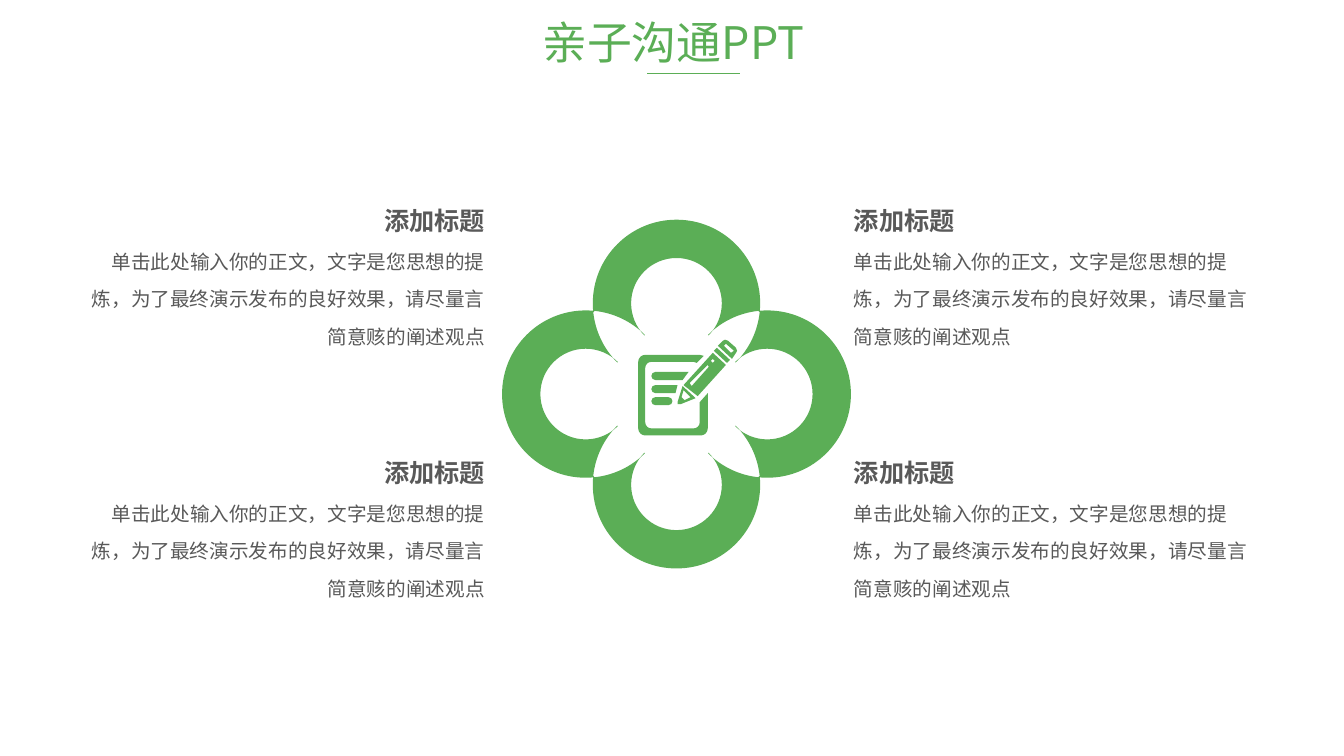
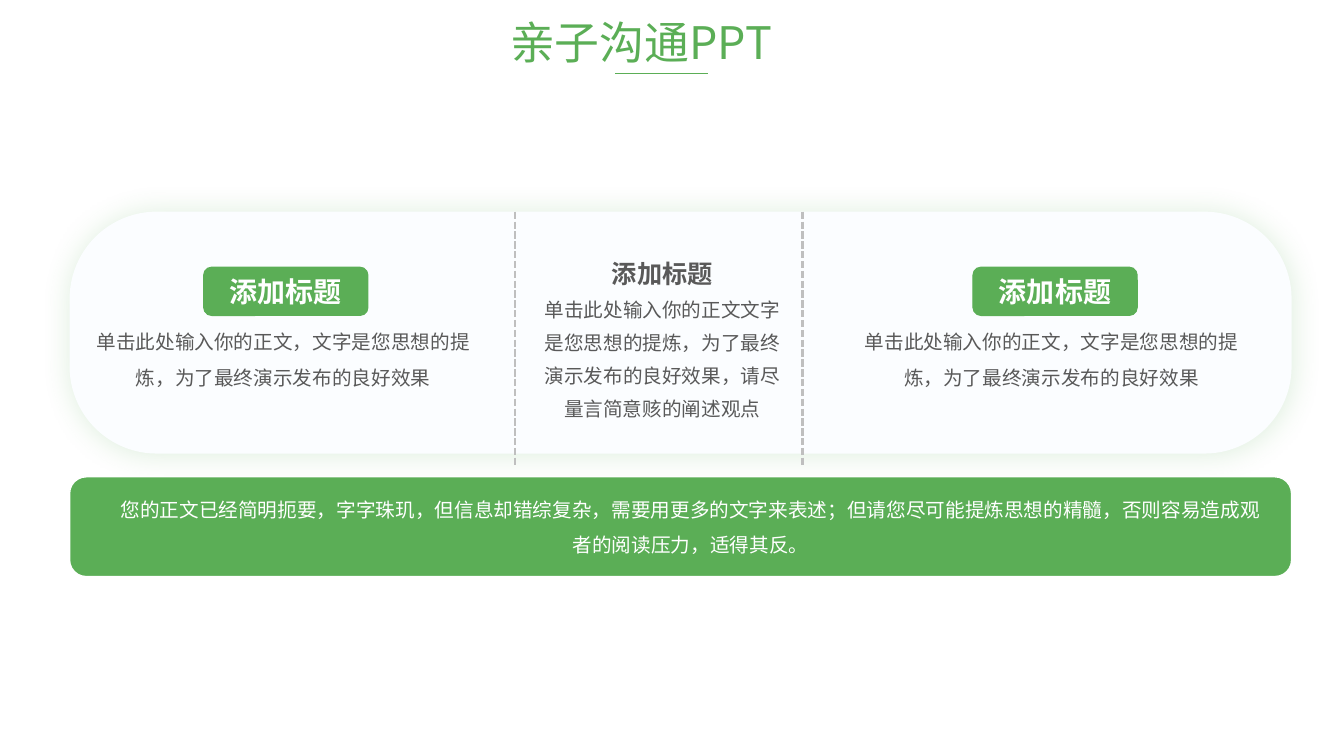
"""Build two parent-child communication slides: a four-petal diagram and a three-column panel."""
import math

import pptx
import pptx.dml.color
import pptx.enum.dml
import pptx.enum.shapes
import pptx.enum.text
import pptx.oxml.ns
import pptx.util
from lxml import etree

Inches = pptx.util.Inches
Pt = pptx.util.Pt
RGB = pptx.dml.color.RGBColor.from_string
ALIGN = pptx.enum.text.PP_ALIGN
ANCHOR = pptx.enum.text.MSO_ANCHOR
SHAPE = pptx.enum.shapes.MSO_SHAPE
STRAIGHT = pptx.enum.shapes.MSO_CONNECTOR.STRAIGHT
qn = pptx.oxml.ns.qn

FONT = "Noto Sans CJK SC"
COLORS = {"green": "5BAE56", "text": "595959", "white": "FFFFFF", "panel": "FBFDFF", "divider": "BFBFBF"}
HEADING = "添加标题"
LONG_BODY = "单击此处输入你的正文，文字是您思想的提炼，为了最终演示发布的良好效果，请尽量言简意赅的阐述观点"
MIDDLE_BODY = "单击此处输入你的正文文字是您思想的提炼，为了最终演示发布的良好效果，请尽量言简意赅的阐述观点"
SHORT_BODY = "单击此处输入你的正文，文字是您思想的提炼，为了最终演示发布的良好效果"
SUMMARY = "您的正文已经简明扼要，字字珠玑，但信息却错综复杂，需要用更多的文字来表述；但请您尽可能提炼思想的精髓，否则容易造成观者的阅读压力，适得其反。"


def arc(center_x, center_y, radius, start, end):
    """Return a first point and Bezier triples along a circle, with clockwise angles in degrees."""
    low, high = sorted((start, end))
    stops = [low] + [angle for angle in range(-360, 451, 90) if low < angle < high] + [high]
    if start > end:
        stops.reverse()
    stops = [math.radians(angle) for angle in stops]
    points = [(center_x + radius * math.cos(a), center_y + radius * math.sin(a)) for a in stops]
    segments = [(points[0],)]
    for index, (a, b) in enumerate(zip(stops, stops[1:])):
        reach = radius * math.tan((b - a) / 4) * 4 / 3
        (from_x, from_y), (to_x, to_y) = points[index:index + 2]
        segments.append((
            (from_x - reach * math.sin(a), from_y + reach * math.cos(a)),
            (to_x + reach * math.sin(b), to_y - reach * math.cos(b)),
            (to_x, to_y),
        ))
    return segments


def write(shape, lines, align, color, spacing=1.0, anchor=ANCHOR.TOP, inset=None):
    """Fill a shape with lines of (text, size, bold)."""
    frame = shape.text_frame
    frame.text = "\n".join(text for text, size, bold in lines)
    frame.word_wrap = True
    frame.vertical_anchor = anchor
    if inset is not None:
        frame.margin_left = frame.margin_right = Inches(inset)
        frame.margin_top = frame.margin_bottom = Inches(inset)
    for paragraph, (text, size, bold) in zip(frame.paragraphs, lines):
        paragraph.alignment = align
        paragraph.line_spacing = spacing
        paragraph._p.get_or_add_pPr().set("hangingPunct", "0")
        for run in paragraph.runs:
            run.font.size = Pt(size)
            run.font.bold = bold
            run.font.name = FONT
            run.font.color.rgb = RGB(COLORS[color])
            east_asian = etree.Element(qn("a:ea"), typeface=FONT)
            run.font._element.find(qn("a:latin")).addnext(east_asian)


presentation = pptx.Presentation()
presentation.slide_width = Inches(13.33)
presentation.slide_height = Inches(7.5)

slides = []
rules = []
for title_left in (5.28, 4.96):
    slide = presentation.slides.add_slide(presentation.slide_layouts[6])
    slides.append(slide)
    rules.append((slide, title_left + 1.14, 0.73, title_left + 2.06, 0.73, "green", 0.5, False))
    title = slide.shapes.add_textbox(Inches(title_left), Inches(0.1), Inches(3.41), Inches(0.64))
    write(title, [("亲子沟通PPT", 32, False)], ALIGN.JUSTIFY, "green")
petal_slide, panel_slide = slides

petal = (
    arc(0, -0.9, 0.83, 174, 366)
    + arc(0.9, 0, 0.83, 264, 225)
    + arc(0, -0.9, 0.45, 45, -225)
    + arc(-0.9, 0, 0.83, 315, 276)
)
drawings = []
for turn in range(4):
    drawings.append([[tuple((6.71 + x, 3.91 + y) for x, y in segment) for segment in petal]])
    petal = [tuple((-y, x) for x, y in segment) for segment in petal]

page = (
    arc(6.4, 3.59, 0.07, 180, 270)
    + [((6.94, 3.52),), ((6.98, 3.53),), ((6.91, 3.6),), ((6.88, 3.59),)]
    + arc(6.46, 3.65, 0.06, 270, 180)
    + arc(6.46, 4.19, 0.06, 180, 90)
    + arc(6.88, 4.19, 0.06, 90, 0)
    + [((6.94, 3.99),), ((7.02, 3.9),)]
    + arc(6.95, 4.25, 0.07, 0, 90)
    + arc(6.4, 4.25, 0.07, 90, 180)
)
pencil = [
    [(6.77, 3.83), (6.9, 3.95), (6.75, 4.01), (6.72, 4.01), (6.72, 3.99)],
    [(6.78, 3.87), (6.76, 3.94), (6.79, 3.97), (6.85, 3.94)],
    [(7.07, 3.5), (7.2, 3.62), (6.92, 3.93), (6.78, 3.82)],
    [(7.02, 3.62), (6.84, 3.8), (6.86, 3.83), (7.03, 3.64)],
    [(7.07, 3.56), (7.05, 3.58), (7.07, 3.6), (7.09, 3.58)],
    [(7.11, 3.45), (7.24, 3.57), (7.21, 3.6), (7.08, 3.48)],
    [(7.12, 3.43), (7.17, 3.38), (7.19, 3.37), (7.22, 3.38), (7.3, 3.45), (7.31, 3.48), (7.3, 3.5), (7.26, 3.56)],
    [(7.2, 3.41), (7.18, 3.43), (7.25, 3.5), (7.28, 3.48)],
]
drawings.append([
    page,
    arc(6.5, 3.73, 0.04, 90, 270) + [((6.83, 3.69),), ((6.77, 3.77),)],
    arc(6.5, 3.86, 0.04, 90, 270) + [((6.72, 3.82),), ((6.7, 3.9),)],
    arc(6.5, 3.98, 0.04, 90, 270) + arc(6.63, 3.98, 0.04, 270, 450),
] + [[(point,) for point in outline] for outline in pencil])

for outlines in drawings:
    builder = None
    for outline in outlines:
        points = [(Inches(x), Inches(y)) for segment in outline for x, y in segment]
        if builder is None:
            builder = petal_slide.shapes.build_freeform(*points[0])
        else:
            builder.move_to(*points[0])
        builder.add_line_segments(points[1:], close=True)
    drawing = builder.convert_to_shape()
    drawing.shadow.inherit = False
    drawing.fill.solid()
    drawing.fill.fore_color.rgb = RGB(COLORS["green"])
    drawing.line.fill.background()
    steps = iter(list(drawing._element.iter(qn("a:lnTo"))))
    for segment in [segment for outline in outlines for segment in outline[1:]]:
        nodes = [next(steps) for point in segment]
        if len(nodes) == 3:
            curve = etree.Element(qn("a:cubicBezTo"))
            nodes[0].addprevious(curve)
            for node in nodes:
                curve.append(node[0])
                node.getparent().remove(node)

for left, align in ((0.77, ALIGN.RIGHT), (8.44, ALIGN.LEFT)):
    for top in (1.82, 4.32):
        box = petal_slide.shapes.add_textbox(Inches(left), Inches(top), Inches(4.07), Inches(1.67))
        write(box, [(HEADING, 18, True), (LONG_BODY, 14, False)], align, "text", 1.6, ANCHOR.MIDDLE, 0.03)

blocks = {}
for name, kind, left, top, width, height, fill, outline, weight in (
    ("panel", SHAPE.ROUNDED_RECTANGLE, 0.69, 2.1, 12.12, 2.4, "panel", None, 0),
    ("left button", SHAPE.ROUNDED_RECTANGLE, 2.02, 2.65, 1.63, 0.48, "green", "green", 0.75),
    ("right button", SHAPE.ROUNDED_RECTANGLE, 9.65, 2.65, 1.63, 0.48, "green", "green", 0.75),
    ("banner", SHAPE.ROUNDED_RECTANGLE, 0.69, 4.73, 12.12, 0.99, "green", "white", 1),
    ("summary", SHAPE.RECTANGLE, 1.04, 4.77, 11.62, 0.81, "green", None, 0),
):
    block = panel_slide.shapes.add_shape(kind, Inches(left), Inches(top), Inches(width), Inches(height))
    block.shadow.inherit = False
    block.fill.solid()
    block.fill.fore_color.rgb = RGB(COLORS[fill])
    if outline:
        block.line.color.rgb = RGB(COLORS[outline])
        block.line.width = Pt(weight)
    else:
        block.line.fill.background()
    blocks[name] = block

panel = blocks["panel"]
panel.adjustments[0] = 0.36
effects = panel._element.spPr.find(qn("a:effectLst"))
glow = etree.SubElement(effects, qn("a:outerShdw"), blurRad=str(Pt(20)), dist="0", algn="ctr", rotWithShape="0")
glow_color = etree.SubElement(glow, qn("a:srgbClr"), val=COLORS["green"])
etree.SubElement(glow_color, qn("a:alpha"), val="20000")

for name, body_left in (("left button", 0.83), ("right button", 8.45)):
    write(blocks[name], [(HEADING, 20, True)], ALIGN.CENTER, "white")
    body = panel_slide.shapes.add_textbox(Inches(body_left), Inches(3.16), Inches(3.96), Inches(0.71))
    write(body, [(SHORT_BODY, 14, False)], ALIGN.CENTER, "text", 1.5, inset=0)

middle = panel_slide.shapes.add_textbox(Inches(5.34), Inches(2.41), Inches(2.46), Inches(1.8))
write(middle, [(HEADING, 18, True), (MIDDLE_BODY, 14, False)], ALIGN.CENTER, "text", 1.4, ANCHOR.MIDDLE, 0.03)
write(blocks["summary"], [(SUMMARY, 14, False)], ALIGN.CENTER, "white", 1.5)

for divider_x in (5.11, 7.96):
    rules.append((panel_slide, divider_x, 2.1, divider_x, 4.61, "divider", 1.75, True))
for slide, start_x, start_y, end_x, end_y, color, weight, dashed in rules:
    rule = slide.shapes.add_connector(STRAIGHT, Inches(start_x), Inches(start_y), Inches(end_x), Inches(end_y))
    rule.line.color.rgb = RGB(COLORS[color])
    rule.line.width = Pt(weight)
    if dashed:
        rule.line.dash_style = pptx.enum.dml.MSO_LINE.SQUARE_DOT
    etree.SubElement(rule._element.spPr, qn("a:effectLst"))

presentation.save("out.pptx")
